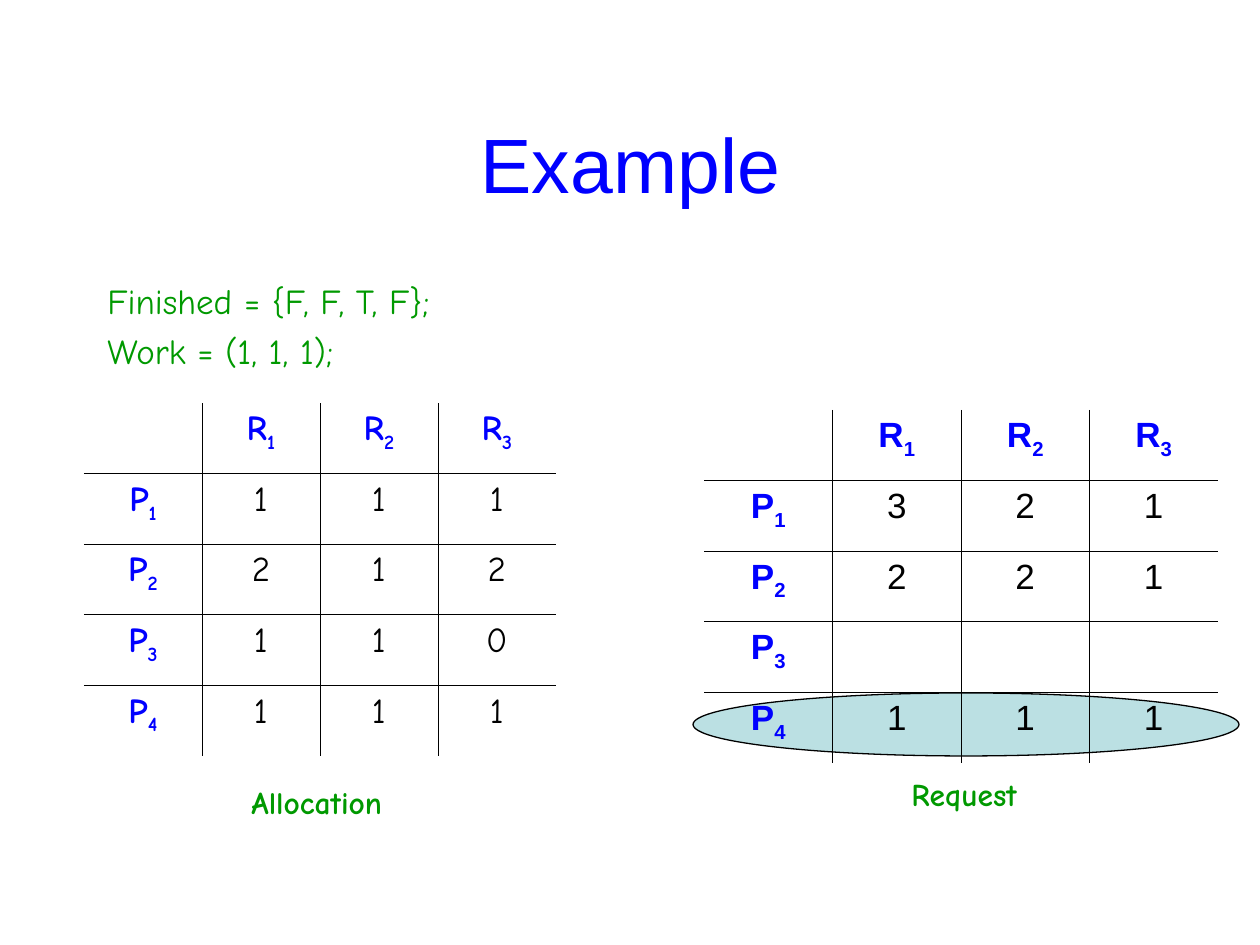
from dataclasses import dataclass

from lxml import etree
from pptx import Presentation, util as u
from pptx.dml.color import RGBColor
from pptx.enum import shapes, text
from pptx.oxml import ns

PX_PER_INCH = 126


@dataclass(frozen=True)
class Theme:
    blue: str = "0000FF"
    green: str = "009900"
    black: str = "000000"
    highlight: str = "BBE0E3"
    sans: str = "Arial"
    hand: str = "Comic Neue"
    title_size: int = 44
    body_size: int = 20
    caption_size: int = 18
    outline: float = 0.75
    grid: float = 0.45


THEME = Theme()
ALLOCATION = ["111", "212", "110", "111"]
REQUEST = ["321", "221", "   ", "111"]


def px(n):
    return u.Emu(round(n * 914400 / PX_PER_INCH))


def style(p, face, size, color, bold=False):
    p.font.name = face
    p.font.size = u.Pt(size)
    p.font.color.rgb = RGBColor.from_string(color)
    p.font.bold = bold


def add_text(s, box, lines, face, size, color, bold=False, align=None,
             anchor=text.MSO_ANCHOR.TOP, wrap=True):
    tf = s.shapes.add_textbox(*map(px, box)).text_frame
    tf.word_wrap = wrap
    tf.vertical_anchor = anchor
    if not wrap:
        tf.auto_size = text.MSO_AUTO_SIZE.SHAPE_TO_FIT_TEXT
    for i, line in enumerate(lines):
        p = tf.add_paragraph() if i else tf.paragraphs[0]
        p.add_run().text = line
        p.alignment = align
        if i:
            p.space_before = u.Pt(5)
        style(p, face, size, color, bold)


def add_highlight(s, box):
    sp = s.shapes.add_shape(shapes.MSO_SHAPE.OVAL, *map(px, box))
    sp.shadow.inherit = False
    sp.fill.solid()
    sp.fill.fore_color.rgb = RGBColor.from_string(THEME.highlight)
    sp.line.color.rgb = RGBColor.from_string(THEME.black)
    sp.line.width = u.Pt(THEME.outline)


def set_border(cell, side, visible):
    tc_pr = cell._tc.get_or_add_tcPr()
    ln = etree.SubElement(tc_pr, ns.qn(f"a:ln{side}"), w=str(u.Pt(THEME.grid)))
    if visible:
        fill = etree.SubElement(ln, ns.qn("a:solidFill"))
        etree.SubElement(fill, ns.qn("a:srgbClr"), val=THEME.black)
    else:
        etree.SubElement(ln, ns.qn("a:noFill"))


def fill_cell(cell, label, subscript, face):
    """Write a value, or a blue heading when there is a subscript."""
    p = cell.text_frame.paragraphs[0]
    p.alignment = text.PP_ALIGN.CENTER
    if label.strip():
        p.add_run().text = label
    if subscript:
        r = p.add_run()
        r.text = subscript
        r._r.get_or_add_rPr().set("baseline", "-25000")
    heading = bool(subscript)
    style(p, face, THEME.body_size, THEME.blue if heading else THEME.black, heading)


def add_matrix(s, box, values, face):
    """Add a process-by-resource table ruled on its inner edges only."""
    n_rows, n_cols = len(values) + 1, len(values[0]) + 1
    table = s.shapes.add_table(n_rows, n_cols, *map(px, box)).table
    table.first_row = table.horz_banding = False
    for i in range(n_rows):
        for j in range(n_cols):
            cell = table.cell(i, j)
            if i and j:
                fill_cell(cell, values[i - 1][j - 1], "", face)
            elif i or j:
                fill_cell(cell, "P" if i else "R", str(i or j), face)
            inner = {"L": j > 0, "R": j < n_cols - 1, "T": i > 0, "B": i < n_rows - 1}
            for side, visible in inner.items():
                set_border(cell, side, visible)
            cell.fill.background()


def main():
    prs = Presentation()
    prs.slide_width, prs.slide_height = px(1260), px(945)
    s = prs.slides.add_slide(prs.slide_layouts[6])
    add_highlight(s, (693, 693, 546, 63))
    add_text(s, (95, 84, 1071, 158), ["Example"], THEME.sans, THEME.title_size,
             THEME.blue, align=text.PP_ALIGN.CENTER, anchor=text.MSO_ANCHOR.MIDDLE)
    add_text(s, (95, 273, 1071, 567), ["Finished = {F, F, T, F};", "Work = (1, 1, 1);"],
             THEME.hand, THEME.body_size, THEME.green)
    add_matrix(s, (84, 403, 472, 353), ALLOCATION, THEME.hand)
    add_matrix(s, (704, 410, 514, 353), REQUEST, THEME.sans)
    for box, caption in [((239, 777, 158, 50), "Allocation"),
                         ((899, 769, 136, 50), "Request")]:
        add_text(s, box, [caption], THEME.hand, THEME.caption_size, THEME.green,
                 bold=True, wrap=False)
    prs.save("out.pptx")


if __name__ == "__main__":
    main()
